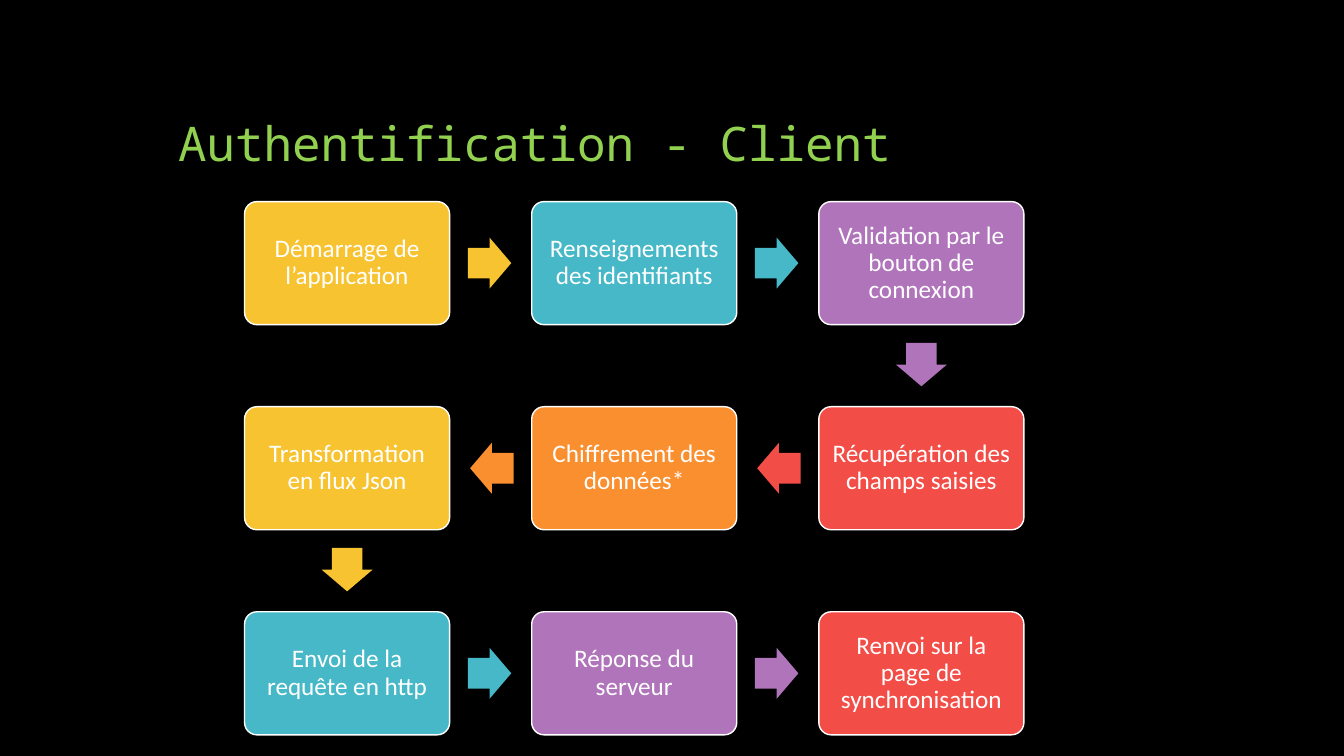
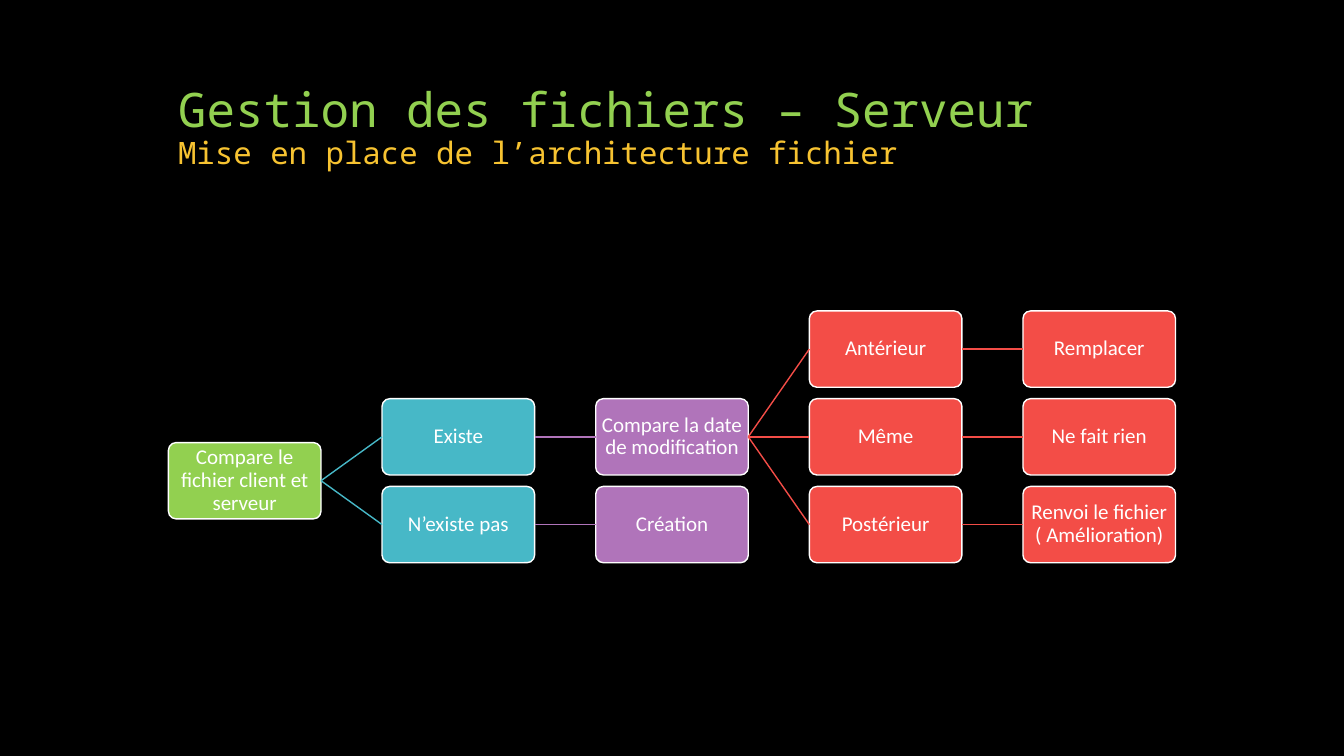
from lxml import etree
from pptx import Presentation
from pptx.dml.color import RGBColor
from pptx.enum import shapes, text
from pptx.oxml import ns
from pptx.util import Pt

BLACK = RGBColor(0x00, 0x00, 0x00)
WHITE = RGBColor(0xFF, 0xFF, 0xFF)
GREEN = RGBColor(0x92, 0xD0, 0x50)
YELLOW = RGBColor(0xF7, 0xC3, 0x31)
TEAL = RGBColor(0x47, 0xB8, 0xC7)
PURPLE = RGBColor(0xB0, 0x74, 0xBA)
RED = RGBColor(0xF3, 0x4D, 0x47)
ORANGE = RGBColor(0xFA, 0x8F, 0x30)

TITLE_FONT = "Noto Sans Mono"
BODY_FONT = "Calibri"
TITLE_BOX = (120, 36, 720, 90)
FLOW_BOX = (174.7, 144, 556.7, 380.9)
TREE_BOX = (120.3, 222.1, 719.4, 179.85)

# Steps in reading order along the snake: text, colour
STEPS = [
    ("Démarrage de l’application", YELLOW),
    ("Renseignements des identifiants", TEAL),
    ("Validation par le bouton de connexion", PURPLE),
    ("Récupération des champs saisies", RED),
    ("Chiffrement des données*", ORANGE),
    ("Transformation en flux Json", YELLOW),
    ("Envoi de la requête en http", TEAL),
    ("Réponse du serveur", PURPLE),
    ("Renvoi sur la page de synchronisation", RED),
]

# Tree nodes: text, column, row, index of the parent
NODES = [
    ("Compare le fichier client et serveur", 0, 1.5, None),
    ("Existe", 1, 1, 0),
    ("N’existe pas", 1, 2, 0),
    ("Compare la date de modification", 2, 1, 1),
    ("Création", 2, 2, 2),
    ("Antérieur", 3, 0, 3),
    ("Même", 3, 1, 3),
    ("Postérieur", 3, 2, 3),
    ("Remplacer", 4, 0, 5),
    ("Ne fait rien", 4, 1, 6),
    ("Renvoi le fichier ( Amélioration)", 4, 2, 7),
]
COLUMN_COLORS = [GREEN, TEAL, PURPLE, RED, RED]


def add_text(p, content, *, size, color=WHITE, font=BODY_FONT,
             align=text.PP_ALIGN.CENTER):
    p.alignment = align
    p.line_spacing = 0.9
    r = p.add_run()
    r.text = content
    r.font.size = Pt(size)
    r.font.name = font
    r.font.color.rgb = color


def add_shape(slide, kind, box, color, adjustments):
    sp = slide.shapes.add_shape(kind, *map(Pt, box))
    sp.shadow.inherit = False
    sp.fill.solid()
    sp.fill.fore_color.rgb = color
    for i, value in enumerate(adjustments):
        sp.adjustments[i] = value
    return sp


def add_card(slide, box, content, color, *, size, inset):
    sp = add_shape(slide, shapes.MSO_SHAPE.ROUNDED_RECTANGLE, box, color, [0.1])
    sp.line.color.rgb = WHITE
    sp.line.width = Pt(1)
    tf = sp.text_frame
    tf.word_wrap = True
    tf.vertical_anchor = text.MSO_ANCHOR.MIDDLE
    tf.margin_left = tf.margin_right = Pt(inset)
    tf.margin_top = tf.margin_bottom = Pt(inset)
    add_text(tf.paragraphs[0], content, size=size)
    return sp


def add_link(slide, parent, child, color):
    line = slide.shapes.add_connector(shapes.MSO_CONNECTOR.STRAIGHT, 0, 0, 0, 0)
    line.begin_connect(parent, 3)
    line.end_connect(child, 1)
    line.line.color.rgb = color
    line.line.width = Pt(1)
    etree.SubElement(line._element.spPr, ns.qn("a:effectLst"))


def add_title_slide(prs, title, subtitle=None):
    slide = prs.slides.add_slide(prs.slide_layouts[5])
    sp = slide.shapes.title
    sp.left, sp.top, sp.width, sp.height = map(Pt, TITLE_BOX)
    tf = sp.text_frame
    tf.word_wrap = True
    tf.auto_size = text.MSO_AUTO_SIZE.NONE
    tf.vertical_anchor = text.MSO_ANCHOR.BOTTOM
    p = tf.paragraphs[0]
    style = {"font": TITLE_FONT, "align": text.PP_ALIGN.LEFT}
    add_text(p, title, size=34, color=GREEN, **style)
    if subtitle:
        p.add_line_break()
        add_text(p, subtitle, size=22, color=YELLOW, **style)
    return slide


def add_snake_flow(slide, box, steps, columns=3):
    """Rows run alternately right and left, with an arrow after each step."""
    left, top, width, _ = box
    w = width / (1 + 1.4 * (columns - 1))
    h = 0.6 * w
    arrow_w, arrow_h, arrow_gap = 31, 36.4, 13

    # Card positions
    cells = []
    for i in range(len(steps)):
        row, col = divmod(i, columns)
        cells.append((columns - 1 - col if row % 2 else col, row))

    for i, ((content, color), (col, row)) in enumerate(zip(steps, cells)):
        x, y = left + col * 1.4 * w, top + row * w
        add_card(slide, (x, y, w, h), content, color, size=18, inset=5)
        if i + 1 == len(steps):
            break

        # Arrow towards the next card
        dx, dy = cells[i + 1][0] - col, cells[i + 1][1] - row
        reach = arrow_gap + arrow_w / 2
        cx = x + w / 2 + dx * (w / 2 + reach)
        cy = y + h / 2 + dy * (h / 2 + reach)
        arrow = add_shape(
            slide, shapes.MSO_SHAPE.RIGHT_ARROW,
            (cx - arrow_w / 2, cy - arrow_h / 2, arrow_w, arrow_h),
            color, [0.6, 0.5])
        arrow.line.fill.background()
        arrow.rotation = 90 if dy else 90 * (1 - dx)


def add_tree(slide, box, nodes):
    """Columns of cards, each joined to its parent on the left."""
    left, top, width, _ = box
    w = width / (1 + 1.4 * (len(COLUMN_COLORS) - 1))
    h = w / 2
    cards = []
    for content, col, row, parent in nodes:
        color = COLUMN_COLORS[col]
        place = (left + col * 1.4 * w, top + row * 1.15 * h, w, h)
        card = add_card(slide, place, content, color, size=15, inset=1)
        cards.append(card)
        if parent is not None:
            add_link(slide, cards[parent], card, color)


def main():
    prs = Presentation()
    prs.slide_width, prs.slide_height = Pt(960), Pt(540)
    fill = prs.slide_master.background.fill
    fill.solid()
    fill.fore_color.rgb = BLACK

    # Client sign-in
    slide = add_title_slide(prs, "Authentification - Client")
    add_snake_flow(slide, FLOW_BOX, STEPS)

    # Server file handling
    slide = add_title_slide(prs, "Gestion des fichiers – Serveur",
                            "Mise en place de l’architecture fichier")
    add_tree(slide, TREE_BOX, NODES)

    prs.save("out.pptx")


if __name__ == "__main__":
    main()
